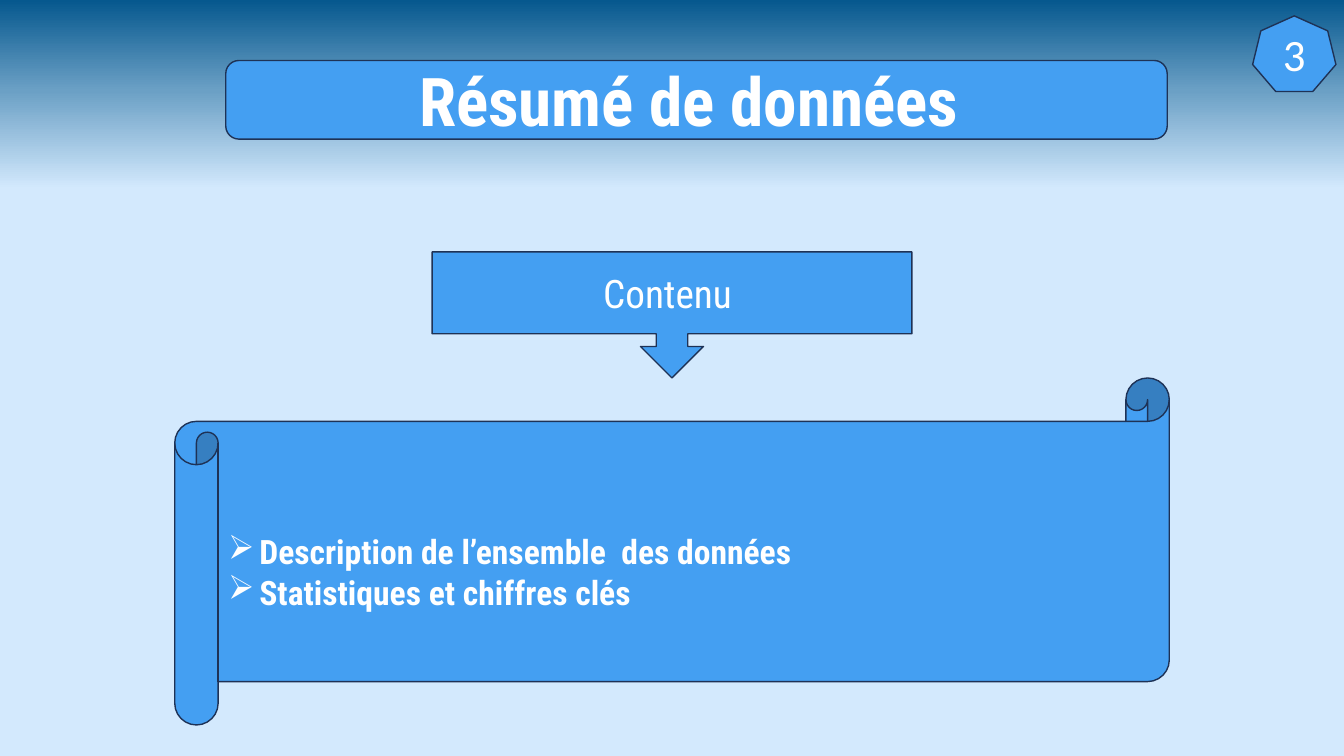
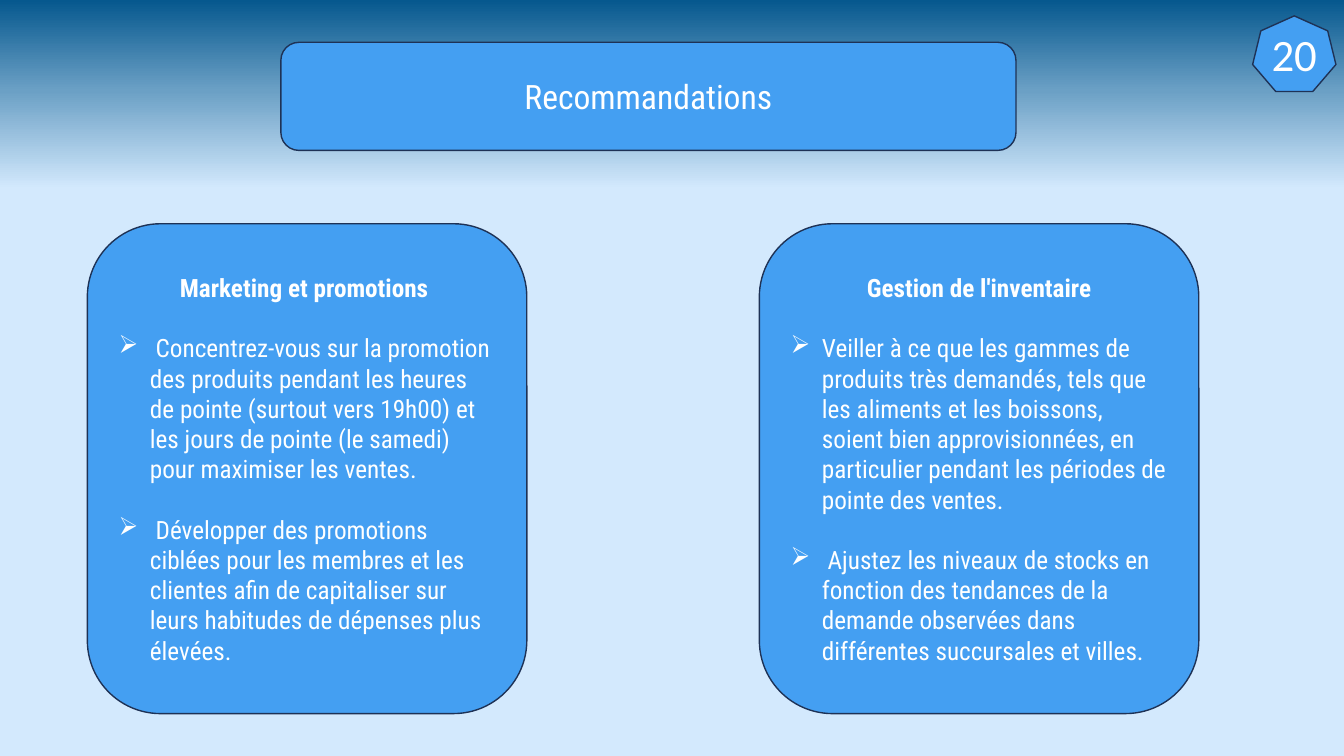
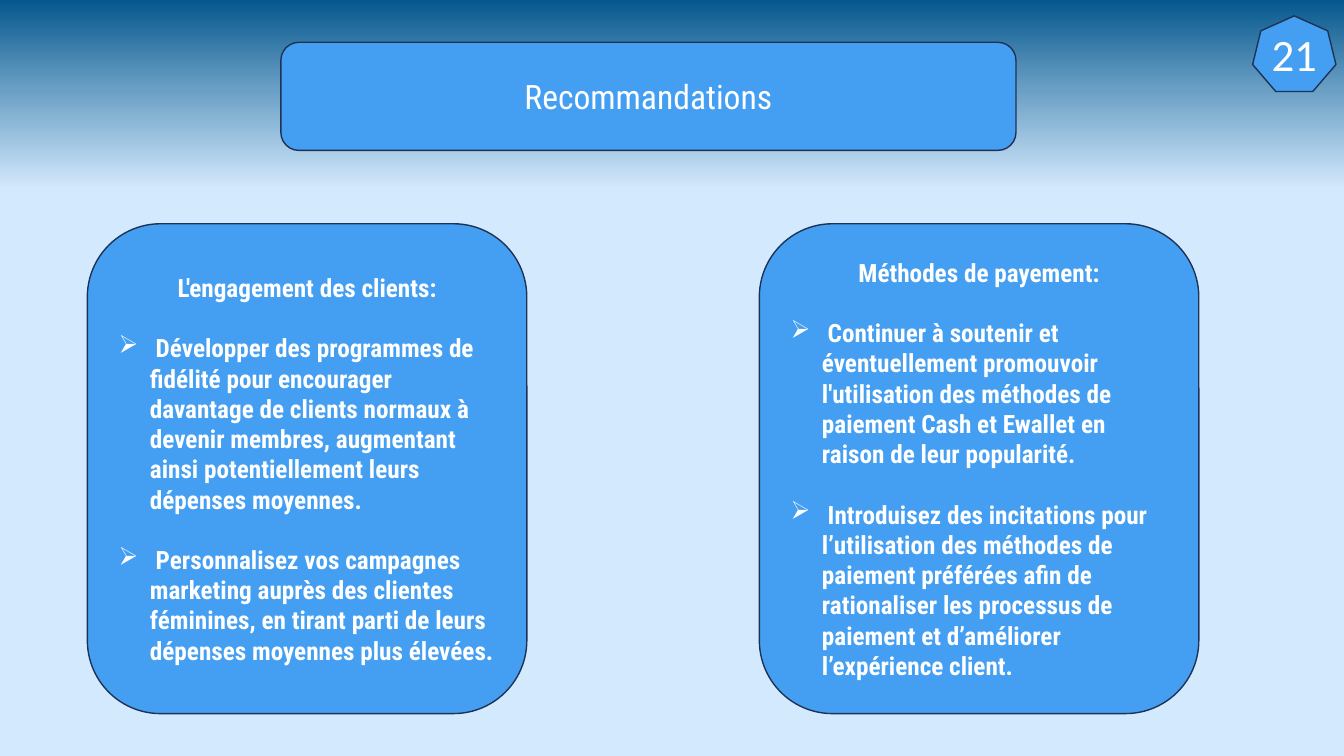
from copy import deepcopy
from lxml.etree import SubElement
from pptx import Presentation
from pptx.dml.color import RGBColor
from pptx.enum.shapes import MSO_SHAPE as Shape
from pptx.enum.text import MSO_ANCHOR as Anchor, MSO_AUTO_SIZE as Auto, PP_ALIGN as Align
from pptx.oxml.ns import qn
from pptx.util import Emu, Inches, Pt

HUES = {"sky": "D3E9FD", "steel": "6BA0C5", "navy": "06588E",
        "box": "449FF2", "edge": "1E3256", "text": "FFFFFF"}
FONT = "Roboto Condensed"
HANG = Inches(0.31)


def hue(name):
    return RGBColor.from_string(HUES[name])


class Deck:
    """Style and current slide; lengths are percent of the slide's size."""

    def __init__(self):
        self.prs = Presentation()
        self.prs.slide_width = Inches(13.33)
        self.prs.slide_height = Inches(7.5)
        self.slide = None
        self.paint()

    def paint(self):
        # Shared background on the master
        fill = self.prs.slide_master.background.fill
        fill.gradient()
        fill.gradient_angle = 90
        last = fill.gradient_stops[1]._gs
        last.addnext(deepcopy(last))
        tones = [(0.75, "sky"), (0.88, "steel"), (1, "navy")]
        for stop, (pos, tone) in zip(fill.gradient_stops, tones):
            stop.position = pos
            stop.color.rgb = hue(tone)

    def area(self, x, y, w, h):
        wide, high = self.prs.slide_width, self.prs.slide_height
        return [Emu(round(part * size / 100))
                for part, size in ((x, wide), (y, high), (w, wide), (h, high))]

    def page(self, num, title, spot, size, bold=False):
        self.slide = self.prs.slides.add_slide(self.prs.slide_layouts[5])
        head = self.slide.shapes.title
        head.left, head.top, head.width, head.height = self.area(*spot)
        # The band lies behind the title
        band = self.box(Shape.ROUNDED_RECTANGLE, spot)
        head._element.addprevious(band._element)
        frame = head.text_frame
        frame.auto_size = Auto.NONE
        frame.margin_top = frame.margin_bottom = 0
        self.label(frame, [title], size, bold)
        # Page number
        badge = self.box(Shape.HEPTAGON, (93.2, 2.1, 6.2, 10))
        self.label(badge.text_frame, [str(num)], 32, font="Calibri")
        badge.text_frame.word_wrap = False

    def box(self, kind, spot):
        shape = self.slide.shapes.add_shape(kind, *self.area(*spot))
        shape.shadow.inherit = False
        shape.fill.solid()
        shape.fill.fore_color.rgb = hue("box")
        shape.line.color.rgb = hue("edge")
        shape.line.width = Pt(1)
        return shape

    def label(self, frame, lines, size, bold=False, font=FONT):
        frame.word_wrap = True
        frame.vertical_anchor = Anchor.MIDDLE
        for i, line in enumerate(lines):
            para = frame.add_paragraph() if i else frame.paragraphs[0]
            para.text = line
            para.alignment = Align.CENTER
            para.font.name = font
            para.font.size = Pt(size)
            para.font.bold = bold
            para.font.color.rgb = hue("text")
        return frame.paragraphs

    def bullet(self, para):
        para.alignment = Align.LEFT
        props = para._p.get_or_add_pPr()
        props.set("marL", str(HANG))
        props.set("indent", str(-HANG))
        mark = SubElement(props, qn("a:buChar"))
        mark.set("char", "➢")
        # The mark must come before the default run properties
        props.find(qn("a:defRPr")).addprevious(mark)

    def scroll(self, spot, items):
        frame = self.box(Shape.HORIZONTAL_SCROLL, spot).text_frame
        frame.margin_top = Inches(0.45)
        for para in self.label(frame, items, 24, True):
            self.bullet(para)

    def card(self, col, head, items, bold):
        spot = (6.5 + 50 * col, 29.6, 32.7, 64.8)
        frame = self.box(Shape.ROUNDED_RECTANGLE, spot).text_frame
        top, *rest = self.label(frame, [head, *items], 18, bold)
        top.font.bold = True
        for para in rest:
            para.space_before = Pt(21.6)
            self.bullet(para)

    def advice(self, num, cards, bold=False):
        self.page(num, "Recommandations", (20.9, 5.6, 54.7, 14.3), 24)
        for col, (head, items) in enumerate(cards):
            self.card(col, head, items, bold)


def main():
    deck = Deck()

    # Summary
    deck.page(3, "Résumé de données ", (16.8, 8, 70.05, 10.4), 48, True)
    call = deck.box(Shape.DOWN_ARROW_CALLOUT, (32.15, 33.33, 35.7, 16.67))
    deck.label(call.text_frame, ["Contenu "], 28)
    deck.scroll((13, 50, 74, 45.9), [
        "Description de l’ensemble  des données",
        "Statistiques et chiffres clés"])

    # Marketing and stock
    deck.advice(20, [
        ("Marketing et promotions ", [
            " Concentrez-vous sur la promotion des produits pendant les heures de pointe "
            "(surtout vers 19h00) et les jours de pointe (le samedi) pour maximiser les ventes.",
            " Développer des promotions ciblées pour les membres et les clientes afin de "
            "capitaliser sur leurs habitudes de dépenses plus élevées."]),
        ("Gestion de l'inventaire", [
            "Veiller à ce que les gammes de produits très demandés, tels que les aliments et "
            "les boissons, soient bien approvisionnées, en particulier pendant les périodes "
            "de pointe des ventes.",
            " Ajustez les niveaux de stocks en fonction des tendances de la demande observées "
            "dans différentes succursales et villes."])])

    # Clients and payment
    deck.advice(21, [
        ("L'engagement des clients:", [
            " Développer des programmes de fidélité pour encourager davantage de clients "
            "normaux à devenir membres, augmentant ainsi potentiellement leurs dépenses "
            "moyennes.",
            " Personnalisez vos campagnes marketing auprès des clientes féminines, en tirant "
            "parti de leurs dépenses moyennes plus élevées."]),
        ("Méthodes de payement:", [
            " Continuer à soutenir et éventuellement promouvoir l'utilisation des méthodes de "
            "paiement Cash et Ewallet en raison de leur popularité.",
            " Introduisez des incitations pour l’utilisation des méthodes de paiement "
            "préférées afin de rationaliser les processus de paiement et d’améliorer "
            "l’expérience client."])], bold=True)

    deck.prs.save("out.pptx")


if __name__ == "__main__":
    main()
